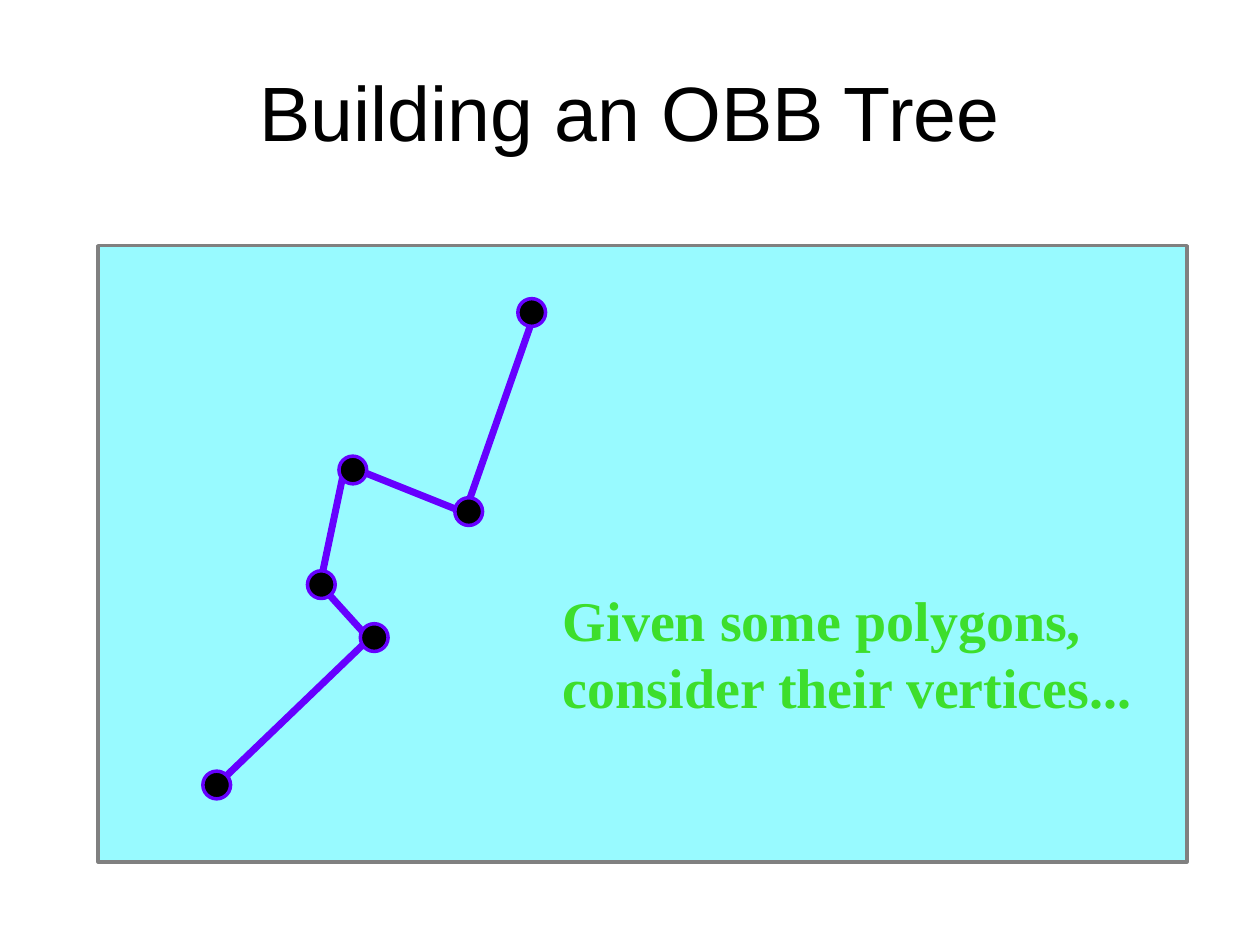
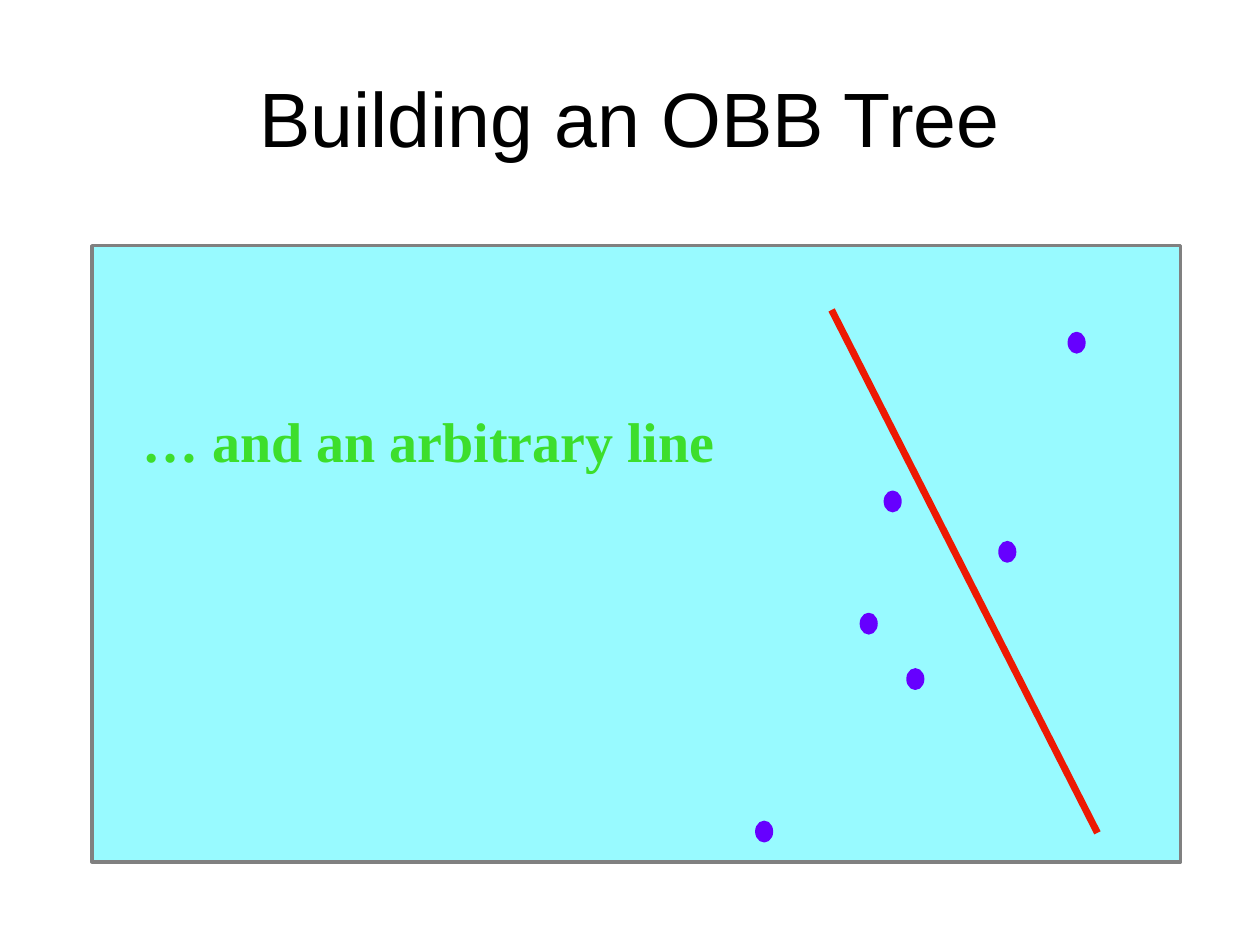
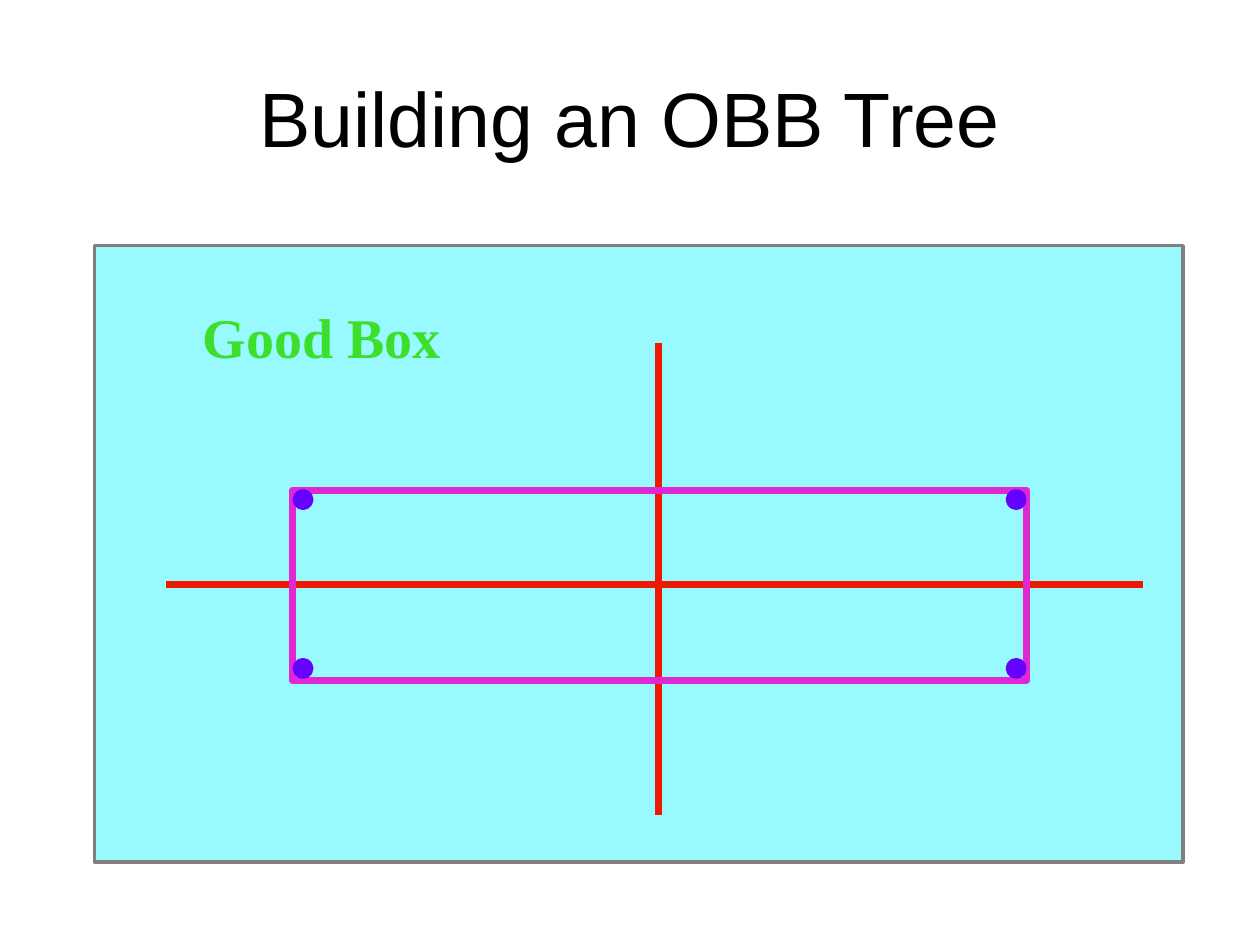
from dataclasses import dataclass
from itertools import product
from typing import Any, Optional

from lxml.etree import SubElement
from pptx import Presentation
from pptx.dml.color import RGBColor
from pptx.enum.shapes import MSO_CONNECTOR, MSO_SHAPE
from pptx.enum.text import MSO_ANCHOR, MSO_AUTO_SIZE, PP_ALIGN
from pptx.oxml.ns import qn
from pptx.util import Inches, Pt

COLOURS = {
    "panel": "98FAFF",
    "frame": "808080",
    "violet": "6600FF",
    "vertex": "000000",
    "caption": "3DDE2C",
    "axis": "ED1903",
    "bounds": "DF27D4",
    "title": "000000",
}
TITLE = "Building an OBB Tree"
TITLE_FONT = {"name": "Arial", "size": Pt(44), "bold": False}
CAPTION_FONT = {"name": "Times New Roman", "size": Pt(32), "bold": True}
TITLE_FRAME = {"word_wrap": True, "vertical_anchor": MSO_ANCHOR.MIDDLE}
CAPTION_FRAME = {"word_wrap": False, "auto_size": MSO_AUTO_SIZE.SHAPE_TO_FIT_TEXT}

Point = tuple[float, float]


@dataclass(frozen=True)
class Area:
    left: float
    top: float
    width: float
    height: float

    def lengths(self) -> list[int]:
        return [Inches(value) for value in (self.left, self.top, self.width, self.height)]


@dataclass(frozen=True)
class Look:
    fill: Optional[str]
    line: str
    weight: float


@dataclass(frozen=True)
class DotStyle:
    width: float
    height: float
    look: Look


@dataclass(frozen=True)
class Caption:
    area: Area
    lines: tuple[str, ...]


PANEL = Look("panel", "frame", 2)
CHAIN = Look(None, "violet", 4)
BOUNDS = Look(None, "bounds", 4)
VERTEX_DOT = DotStyle(0.22, 0.22, Look("vertex", "violet", 2))
POINT_DOT = DotStyle(0.13, 0.16, Look("violet", "violet", 1))
CORNER_DOT = DotStyle(0.11, 0.11, Look("violet", "violet", 4))

CHAIN_POINTS = [(4.26, 2.44), (3.69, 4.07), (2.74, 3.69), (2.54, 4.64), (2.93, 5.07), (1.68, 6.27)]
VERTEX_DOTS = [(1.61, 6.12), (2.86, 4.95), (2.44, 4.53), (2.69, 3.62), (3.61, 3.95), (4.11, 2.37)]
POINT_DOTS = [(8.48, 2.64), (7.02, 3.9), (7.93, 4.3), (6.83, 4.87), (7.2, 5.31), (6, 6.52)]
CORNER_DOTS = list(product((2.35, 8.01), (3.91, 5.25)))


def set_values(target: Any, values: dict[str, Any]) -> None:
    for name, value in values.items():
        setattr(target, name, value)


def colour(name: str) -> RGBColor:
    return RGBColor.from_string(COLOURS[name])


def apply_look(shape: Any, look: Look) -> None:
    shape.shadow.inherit = False
    if look.fill:
        shape.fill.solid()
        shape.fill.fore_color.rgb = colour(look.fill)
    else:
        shape.fill.background()
    shape.line.color.rgb = colour(look.line)
    shape.line.width = Pt(look.weight)


def add_preset(page: Any, kind: MSO_SHAPE, area: Area, look: Look) -> None:
    apply_look(page.shapes.add_shape(kind, *area.lengths()), look)


def add_dots(page: Any, corners: list[Point], style: DotStyle) -> None:
    for left, top in corners:
        add_preset(page, MSO_SHAPE.OVAL, Area(left, top, style.width, style.height), style.look)


def add_chain(page: Any, points: list[Point], look: Look) -> None:
    start, *others = [(Inches(x), Inches(y)) for x, y in points]
    builder = page.shapes.build_freeform(*start)
    builder.add_line_segments(others, close=False)
    apply_look(builder.convert_to_shape(), look)


def add_axis(page: Any, start: Point, end: Point) -> None:
    ends = [Inches(value) for value in (*start, *end)]
    axis = page.shapes.add_connector(MSO_CONNECTOR.STRAIGHT, *ends)
    axis.line.color.rgb = colour("axis")
    axis.line.width = Pt(4)
    SubElement(axis._element.spPr, qn("a:effectLst"))


def add_text(page: Any, caption: Caption, frame_values: dict[str, Any],
             font_values: dict[str, Any], ink: str, align: PP_ALIGN,
             spacing: Optional[float] = None) -> None:
    box = page.shapes.add_textbox(*caption.area.lengths())
    frame = box.text_frame
    set_values(frame, frame_values)
    for index, line in enumerate(caption.lines):
        para = frame.add_paragraph() if index else frame.paragraphs[0]
        set_values(para, {"alignment": align, "line_spacing": spacing})
        span = para.add_run()
        span.text = line
        set_values(span.font, font_values)
        span.font.color.rgb = colour(ink)


def add_caption(page: Any, area: Area, *lines: str) -> None:
    add_text(page, Caption(area, lines), CAPTION_FRAME, CAPTION_FONT, "caption", PP_ALIGN.LEFT)


def add_page(deck: Any, panel_left: float, title_spacing: Optional[float] = None) -> Any:
    page = deck.slides.add_slide(deck.slide_layouts[6])
    title = Caption(Area(0.5, 0.3, 9, 1.25), (TITLE,))
    add_text(page, title, TITLE_FRAME, TITLE_FONT, "title", PP_ALIGN.CENTER, title_spacing)
    add_preset(page, MSO_SHAPE.RECTANGLE, Area(panel_left, 1.95, 8.64, 4.89), PANEL)
    return page


def build_polygon_page(deck: Any) -> None:
    page = add_page(deck, 0.78, 0.9)
    add_chain(page, CHAIN_POINTS, CHAIN)
    add_dots(page, VERTEX_DOTS, VERTEX_DOT)
    add_caption(page, Area(4.37, 4.6, 4.74, 1.17),
                "Given some polygons,", "consider their vertices...")


def build_line_page(deck: Any) -> None:
    page = add_page(deck, 0.73)
    add_caption(page, Area(1.03, 3.18, 4.75, 0.63), "… and an arbitrary line")
    add_dots(page, POINT_DOTS, POINT_DOT)
    add_axis(page, (6.6, 2.46), (8.71, 6.61))


def build_good_box_page(deck: Any) -> None:
    page = add_page(deck, 0.75)
    add_caption(page, Area(1.51, 2.35, 2.09, 0.63), "Good Box")
    add_axis(page, (9.07, 4.64), (1.32, 4.64))
    add_axis(page, (5.23, 2.72), (5.23, 6.47))
    add_preset(page, MSO_SHAPE.RECTANGLE, Area(2.32, 3.89, 5.83, 1.51), BOUNDS)
    add_dots(page, CORNER_DOTS, CORNER_DOT)


def main() -> None:
    deck = Presentation()
    set_values(deck, {"slide_width": Inches(10), "slide_height": Inches(7.5)})
    build_polygon_page(deck)
    build_line_page(deck)
    build_good_box_page(deck)
    deck.save("out.pptx")


if __name__ == "__main__":
    main()
